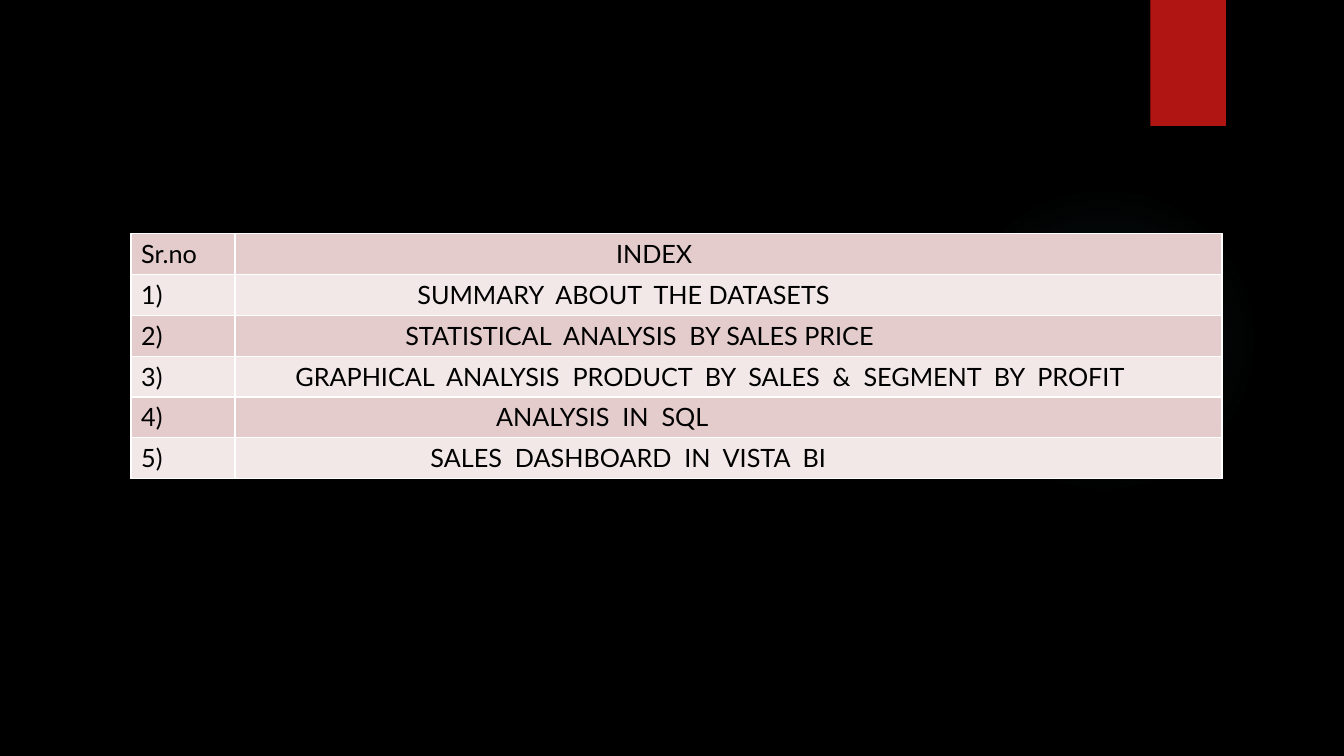
from dataclasses import dataclass

from lxml import etree
from pptx import Presentation
from pptx.dml.color import RGBColor
from pptx.enum.shapes import MSO_SHAPE
from pptx.oxml import parse_xml
from pptx.oxml.ns import nsdecls, qn
from pptx.util import Inches, Pt

RECTANGLE = MSO_SHAPE.RECTANGLE
OVAL = MSO_SHAPE.OVAL


@dataclass(frozen=True)
class Theme:
    background: str = "000000"
    glow: str = "50B9C1"
    ribbon: str = "B01513"
    band_dark: str = "E4CCCC"
    band_light: str = "F2E8E7"
    border: str = "FFFFFF"
    text: str = "000000"
    font: str = "Lato"
    size: int = 18


THEME = Theme()
COLUMN_WIDTHS = (1.03, 9.79)
TABLE_HEIGHT = 2.43
INDEX_ROWS = [
    ("Sr.no", "INDEX", 3.78),
    ("1)", "SUMMARY  ABOUT  THE DATASETS", 1.81),
    ("2)", "STATISTICAL  ANALYSIS  BY SALES PRICE", 1.69),
    ("3)", "GRAPHICAL  ANALYSIS  PRODUCT  BY  SALES  &  SEGMENT  BY  PROFIT", 0.6),
    ("4)", "ANALYSIS  IN  SQL", 2.59),
    ("5)", "SALES  DASHBOARD  IN  VISTA  BI", 1.94),
]


def add_plain_shape(slide, kind, left, top, width, height):
    shape = slide.shapes.add_shape(
        kind, Inches(left), Inches(top), Inches(width), Inches(height)
    )
    shape.shadow.inherit = False
    shape.line.fill.background()
    return shape


def fill_cell(cell, text, band, indent):
    cell.fill.solid()
    cell.fill.fore_color.rgb = RGBColor.from_string(band)
    cell.margin_left = Inches(indent)
    cell.text_frame.text = text
    font = cell.text_frame.paragraphs[0].runs[0].font
    font.name = THEME.font
    font.size = Pt(THEME.size)
    font.color.rgb = RGBColor.from_string(THEME.text)
    properties = cell._tc.get_or_add_tcPr()
    for position, side in enumerate(("lnL", "lnR", "lnT", "lnB")):
        line = etree.Element(qn(f"a:{side}"), w=str(Pt(1)))
        solid = etree.SubElement(line, qn("a:solidFill"))
        etree.SubElement(solid, qn("a:srgbClr"), val=THEME.border)
        properties.insert(position, line)


deck = Presentation()
deck.slide_width = Inches(13.33)
deck.slide_height = Inches(7.5)
page = deck.slides.add_slide(deck.slide_layouts[6])
page.background.fill.solid()
page.background.fill.fore_color.rgb = RGBColor.from_string(THEME.background)

glow = add_plain_shape(page, OVAL, 9.41, 1.83, 3.08, 3.08)
glow.fill.background()
stops = "".join(
    f'<a:gs pos="{position * 1000}"><a:srgbClr val="{THEME.glow}">'
    f'<a:alpha val="{opacity * 1000}"/></a:srgbClr></a:gs>'
    for position, opacity in ((0, 7), (36, 6), (69, 0), (100, 0))
)
gradient = parse_xml(
    f'<a:gradFill {nsdecls("a")} rotWithShape="1"><a:gsLst>{stops}</a:gsLst>'
    '<a:path path="circle"><a:fillToRect l="50000" t="50000" r="50000" b="50000"/>'
    "</a:path></a:gradFill>"
)
glow_properties = glow._element.spPr
glow_properties.replace(glow_properties.find(qn("a:noFill")), gradient)

ribbon = add_plain_shape(page, RECTANGLE, 11.41, 0, 0.75, 1.25)
ribbon.fill.solid()
ribbon.fill.fore_color.rgb = RGBColor.from_string(THEME.ribbon)

table = page.shapes.add_table(
    len(INDEX_ROWS),
    len(COLUMN_WIDTHS),
    Inches(1.3),
    Inches(2.32),
    Inches(sum(COLUMN_WIDTHS)),
    Inches(TABLE_HEIGHT),
).table
for column, width in zip(table.columns, COLUMN_WIDTHS):
    column.width = Inches(width)
for row, (number, topic, indent) in enumerate(INDEX_ROWS):
    band = THEME.band_light if row % 2 else THEME.band_dark
    fill_cell(table.cell(row, 0), number, band, 0.1)
    fill_cell(table.cell(row, 1), topic, band, indent)

deck.save("out.pptx")
